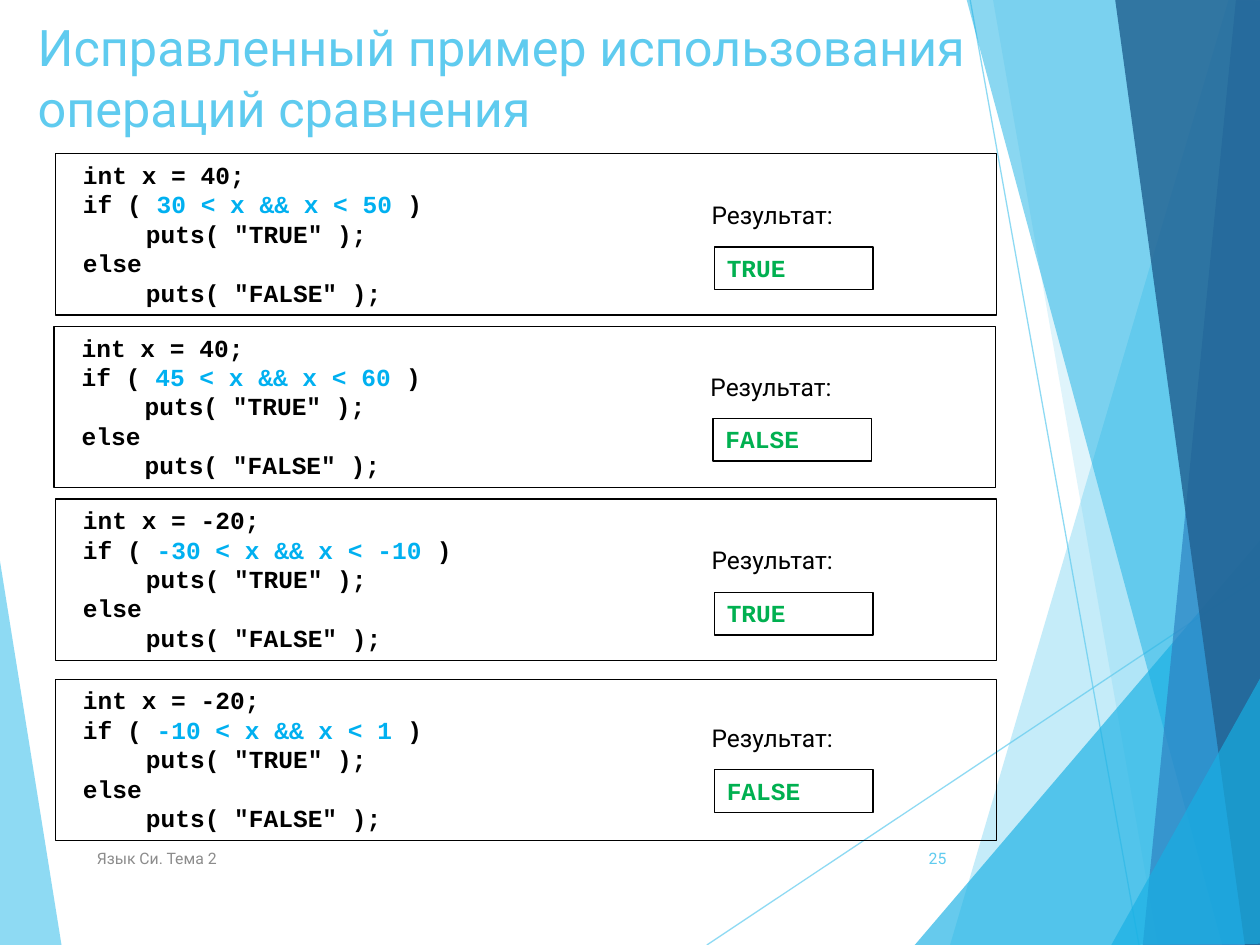
import pptx
import pptx.util
import pptx.dml.color
import pptx.enum.shapes
import pptx.enum.text
import pptx.oxml
import pptx.oxml.ns

Inches = pptx.util.Inches
Align = pptx.enum.text.PP_ALIGN
Anchor = pptx.enum.text.MSO_ANCHOR
COLORS = {"sky": "5FCBEF", "cyan": "17B0E4", "blue": "2E83C3", "navy": "226292",
          "black": "000000", "gray": "8C8C8C", "test": "00B0F0", "green": "00B050"}
SANS, MONO = "Roboto", "Courier New"

FACETS = [
    ("sky", 36, [(9.75, 0), (7.54, 7.5), (10.02, 7.51), (10.01, 0.01)]),
    ("sky", 20, [(7.88, -0.01), (9.19, 7.5), (10.01, 7.5), (10.01, -0.01)]),
    ("cyan", 66, [(7.26, 7.5), (10, 4.29), (10.01, 7.5)]),
    ("cyan", 50, [(7.67, -0.01), (9.7, 7.5), (10.01, 7.49), (10.01, -0.01)]),
    ("blue", 70, [(9.81, -0.01), (9.07, 7.5), (10.01, 7.5), (10, -0.01)]),
    ("navy", 82, [(8.85, -0.01), (9.88, 7.5), (10.02, 7.5), (10, -0.01)]),
    ("cyan", 66, [(8.82, 7.5), (10.02, 5.35), (10.02, 7.49)]),
]
WEDGE = ("sky", 70, [(-0.01, 4.39), (0.49, 7.51), (-0.01, 7.5)])
RAYS = [((5.61, 7.5), (10.01, 4.57)), ((7.7, 0), (9.04, 7.5))]
PANELS = [
    (0.44, 1.22, 1.96, "40", "30 < x && x < 50 ", "TRUE"),
    (0.43, 2.59, 3.32, "40", "45 < x && x < 60 ", "FALSE"),
    (0.44, 3.96, 4.7, "-20", "-30 < x && x < -10 ", "TRUE"),
    (0.44, 5.39, 6.11, "-20", "-10 < x && x < 1 ", "FALSE"),
]


def tint(fmt, name):
    """Set a color format from the palette."""
    fmt.rgb = pptx.dml.color.RGBColor.from_string(COLORS[name])


def fade(root, alpha):
    """Set the opacity percentage of the first color under an element."""
    color = root.find(".//" + pptx.oxml.ns.qn("a:srgbClr"))
    node = pptx.oxml.parse_xml(
        f'<a:alpha {pptx.oxml.ns.nsdecls("a")} val="{alpha * 1000}"/>')
    color.append(node)


def facet(slide, name, alpha, points):
    """Draw one translucent polygon."""
    spots = [(Inches(x), Inches(y)) for x, y in points]
    pen = slide.shapes.build_freeform(*spots[0], scale=1.0)
    pen.add_line_segments(spots[1:], close=True)
    shape = pen.convert_to_shape()
    shape.shadow.inherit = False
    shape.fill.solid()
    tint(shape.fill.fore_color, name)
    fade(shape.fill._xPr, alpha)
    shape.line.fill.background()


def ray(slide, start, end):
    """Draw one thin translucent line."""
    line = slide.shapes.add_connector(
        pptx.enum.shapes.MSO_CONNECTOR.STRAIGHT,
        *(Inches(v) for v in start + end))
    line.line.width = pptx.util.Pt(0.75)
    tint(line.line.color, "sky")
    props = line._element.spPr
    fade(props, 70)
    props.append(pptx.oxml.parse_xml(
        f'<a:effectLst {pptx.oxml.ns.nsdecls("a")}/>'))


def decor(slide):
    """Draw the faceted background."""
    facet(slide, *WEDGE)
    for start, end in RAYS:
        ray(slide, start, end)
    for item in FACETS:
        facet(slide, *item)


def write(shape, lines, size, font, bold=False, align=Align.LEFT,
          anchor=Anchor.TOP, indent=0):
    """Fill a shape with lines of (text, color) runs."""
    frame = shape.text_frame
    frame.word_wrap = True
    frame.vertical_anchor = anchor
    for i, line in enumerate(lines):
        para = frame.add_paragraph() if i else frame.paragraphs[0]
        para.alignment = align
        if indent:
            props = para._p.get_or_add_pPr()
            props.set("marL", str(Inches(indent)))
            props.set("indent", "0")
        for text, name in line:
            run = para.add_run()
            run.text = text
            run.font.size = pptx.util.Pt(size)
            run.font.name = font
            run.font.bold = bold
            tint(run.font.color, name)


def label(slide, box, text, size, name, **style):
    """Place a one-run text box."""
    shape = slide.shapes.add_textbox(*(Inches(v) for v in box))
    write(shape, [[(text, name)]], size, SANS, **style)


def frame(slide, box, lines, **style):
    """Place an outlined box of bold code."""
    shape = slide.shapes.add_shape(
        pptx.enum.shapes.MSO_SHAPE.RECTANGLE, *(Inches(v) for v in box))
    shape.shadow.inherit = False
    shape.fill.background()
    shape.line.width = pptx.util.Pt(0.75)
    tint(shape.line.color, "black")
    write(shape, lines, 14, MONO, bold=True, **style)


def panel(slide, left, top, mark, value, test, result):
    """Place a code sample with its result box at height mark."""
    code = [
        [(f"int x = {value};", "black")],
        [("if ( ", "black"), (test, "test"), (")", "black")],
        [('\tputs( "TRUE" );', "black")],
        [("else", "black")],
        [('\tputs( "FALSE" );', "black")],
    ]
    frame(slide, (left, top, 7.47, 1.28), code, indent=0.12)
    frame(slide, (left + 5.23, mark, 1.26, 0.34), [[(result, "green")]])
    label(slide, (left + 5.11, mark - 0.42, 1.5, 0.34), "Результат:", 14, "black")


def main():
    """Build and save the slide."""
    deck = pptx.Presentation()
    deck.slide_width, deck.slide_height = Inches(10), Inches(7.5)
    slide = deck.slides.add_slide(deck.slide_layouts[6])
    decor(slide)
    label(slide, (0.2, 0.08, 7.72, 1.16),
          "Исправленный пример использования операций сравнения", 28.8, "sky")
    label(slide, (7.05, 6.61, 0.56, 0.4), "25", 9, "sky",
          align=Align.RIGHT, anchor=Anchor.MIDDLE)
    label(slide, (0.67, 6.61, 5.06, 0.4), "Язык Си. Тема 2", 9, "gray",
          anchor=Anchor.MIDDLE)
    for item in PANELS:
        panel(slide, *item)
    deck.save("out.pptx")


if __name__ == "__main__":
    main()
